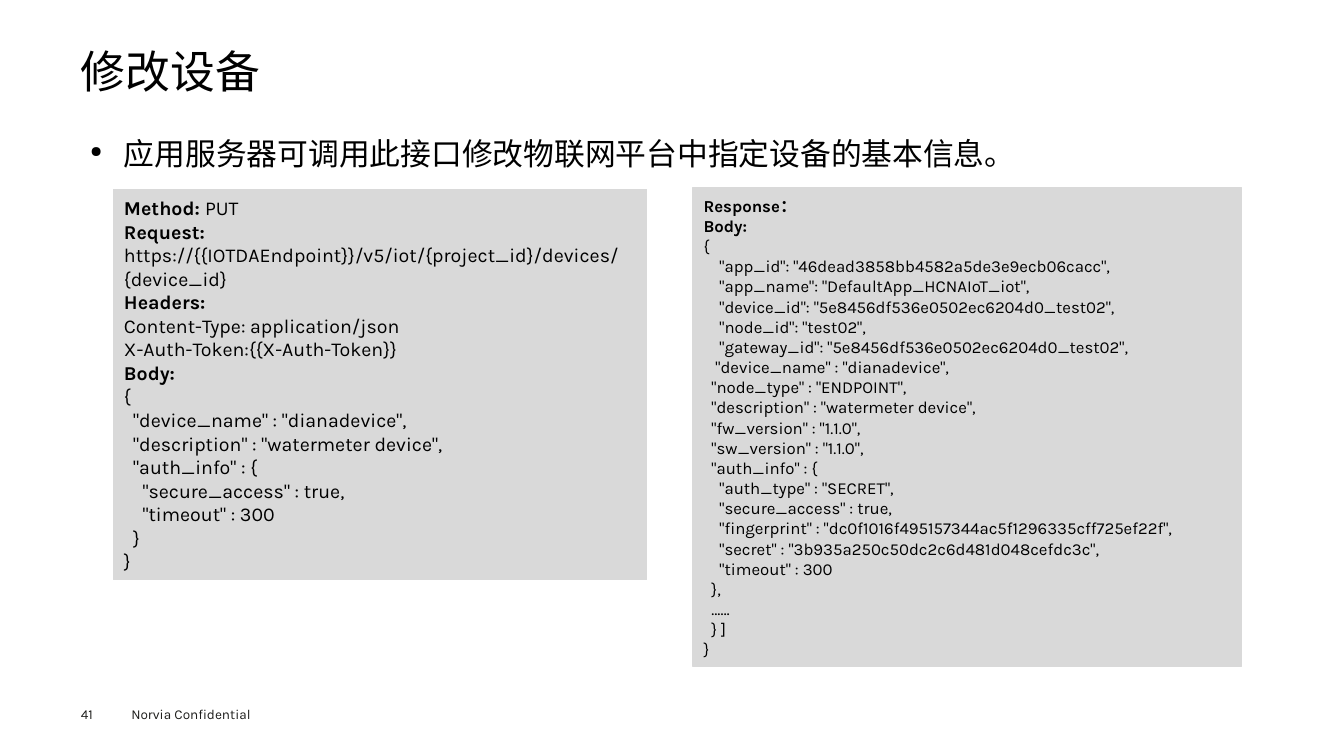
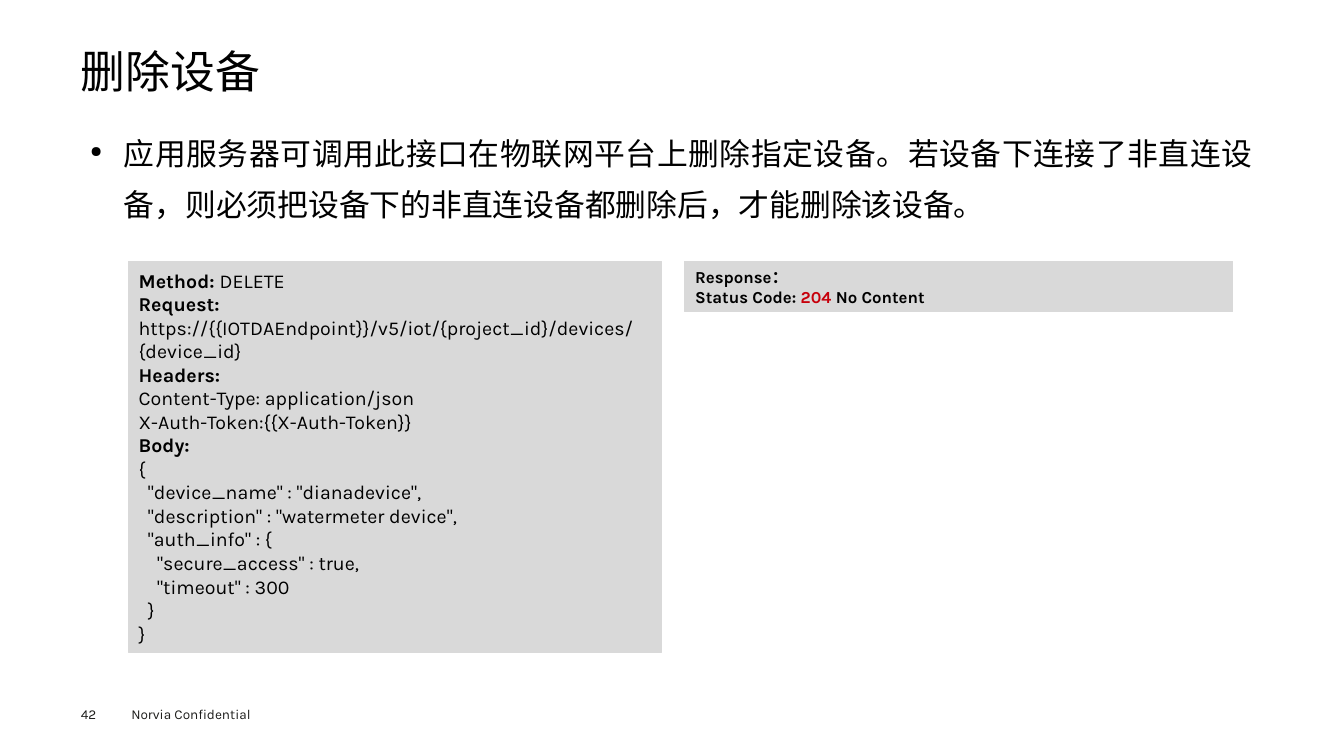
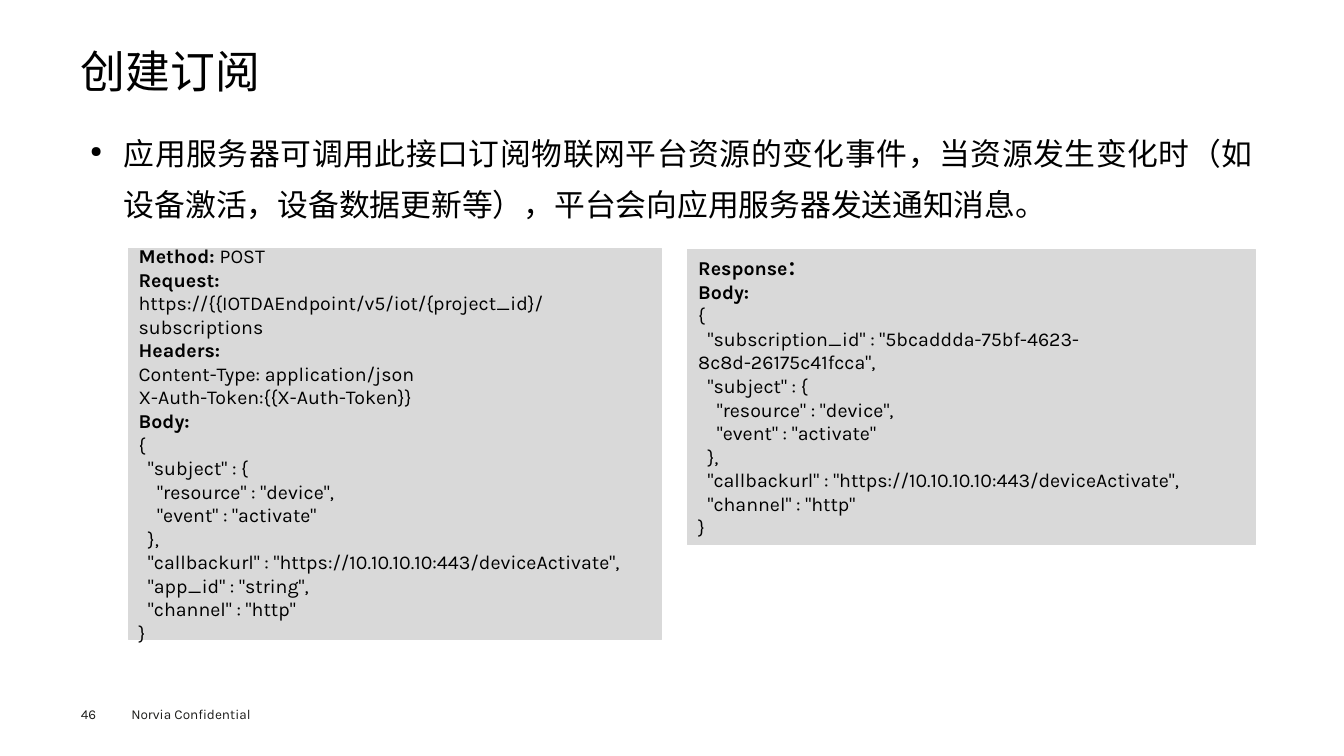
from lxml.etree import SubElement
from pptx import Presentation
from pptx.dml.color import RGBColor
from pptx.enum.shapes import MSO_SHAPE as SHAPE
from pptx.enum.text import MSO_ANCHOR as ANCHOR, MSO_AUTO_SIZE as AUTO, PP_ALIGN as ALIGN
from pptx.oxml.ns import qn
from pptx.util import Emu, Pt

BLACK = RGBColor(0x00, 0x00, 0x00)
INK = RGBColor(0x1D, 0x1D, 0x1B)
GREY = RGBColor(0xD9, 0xD9, 0xD9)
RED = RGBColor(0xC7, 0x00, 0x0B)
FONT = "Karla"
TITLE_BOX = (77, 47, 1126, 51)
BODY_BOX = (77, 110, 1126, 513)
NUMBER_BOX = (77, 672, 53, 15)
FOOTER_BOX = (115, 667, 154, 26)
BOLD = {"bold": True}

DEVICE_URL = "https://{{IOTDAEndpoint}}/v5/iot/{project_id}/devices/{device_id}"
SUBSCRIPTION_URL = "https://{{IOTDAEndpoint/v5/iot/{project_id}/subscriptions"

DEVICE_BODY = """{
  "device_name" : "dianadevice",
  "description" : "watermeter device",
  "auth_info" : {
    "secure_access" : true,
    "timeout" : 300
  }
}"""

DEVICE_REPLY = """{
    "app_id": "46dead3858bb4582a5de3e9ecb06cacc",
    "app_name": "DefaultApp_HCNAIoT_iot",
    "device_id": "5e8456df536e0502ec6204d0_test02",
    "node_id": "test02",
    "gateway_id": "5e8456df536e0502ec6204d0_test02",
   "device_name" : "dianadevice",
  "node_type" : "ENDPOINT",
  "description" : "watermeter device",
  "fw_version" : "1.1.0",
  "sw_version" : "1.1.0",
  "auth_info" : {
    "auth_type" : "SECRET",
    "secure_access" : true,
    "fingerprint" : "dc0f1016f495157344ac5f1296335cff725ef22f",
    "secret" : "3b935a250c50dc2c6d481d048cefdc3c",
    "timeout" : 300
  },
  ……
  } ]
}"""

SUBSCRIPTION_BODY = """{
  "subject" : {
    "resource" : "device",
    "event" : "activate"
  },
  "callbackurl" : "https://10.10.10.10:443/deviceActivate",
  "app_id" : "string",
  "channel" : "http"
}"""

SUBSCRIPTION_REPLY = """{
  "subscription_id" : "5bcaddda-75bf-4623-8c8d-26175c41fcca",
  "subject" : {
    "resource" : "device",
    "event" : "activate"
  },
  "callbackurl" : "https://10.10.10.10:443/deviceActivate",
  "channel" : "http"
}"""


def px(n):
    """Turn px into EMU."""
    return Emu(n * 9525)


def place(box):
    """Turn a px box into EMU lengths."""
    return [px(n) for n in box]


def add_run(p, text, size=14, color=BLACK, bold=False):
    """Add one formatted run to a paragraph."""
    r = p.add_run()
    r.text = text
    r.font.size = Pt(size)
    r.font.name = FONT
    r.font.bold = bold
    r.font.color.rgb = color
    SubElement(r.font._element, qn("a:ea"), typeface=FONT)


def write(tf, lines, size=14, color=BLACK, align=ALIGN.LEFT, spacing=None,
          anchor=ANCHOR.TOP, inset=(0, 0)):
    """Fill a text frame with lines, each a string or a list of (text, format) runs."""
    tf.word_wrap = True
    tf.auto_size = AUTO.NONE
    tf.vertical_anchor = anchor
    tf.margin_left = tf.margin_right = px(inset[0])
    tf.margin_top = tf.margin_bottom = px(inset[1])
    for i, line in enumerate(lines):
        p = tf.add_paragraph() if i else tf.paragraphs[0]
        p.alignment = align
        if spacing:
            p.line_spacing = spacing
        for text, fmt in [(line, {})] if isinstance(line, str) else line:
            add_run(p, text, **{"size": size, "color": color, **fmt})


def add_label(s, text, box, **fmt):
    """Add a text box and return its text frame."""
    tf = s.shapes.add_textbox(*place(box)).text_frame
    write(tf, [text], **fmt)
    return tf


def add_bullet(s, text, box):
    """Add the bulleted introduction."""
    tf = add_label(s, text, box, size=22, align=ALIGN.JUSTIFY, spacing=1.4, inset=(9, 4))
    pPr = tf.paragraphs[0]._p.get_or_add_pPr()
    pPr.set("marL", str(px(32)))
    pPr.set("indent", str(-px(32)))
    SubElement(pPr, qn("a:buSzPct"), val="50000")
    SubElement(pPr, qn("a:buChar"), char="●")


def add_panel(s, lines, box, size=14):
    """Add a grey panel of message lines."""
    sp = s.shapes.add_shape(SHAPE.RECTANGLE, *place(box))
    sp.shadow.inherit = False
    sp.fill.solid()
    sp.fill.fore_color.rgb = GREY
    sp.line.color.rgb = GREY
    sp.line.width = Pt(0.75)
    write(sp.text_frame, lines, size=size, anchor=ANCHOR.MIDDLE, inset=(10, 5))


def request(method, url, body):
    """Return the lines of a request."""
    return [[("Method: ", BOLD), (method, {})],
            [("Request:", BOLD)], url,
            [("Headers:", BOLD)], "Content-Type: application/json",
            "X-Auth-Token:{{X-Auth-Token}}",
            [("Body:", BOLD)], *body.splitlines()]


def response(body):
    """Return the lines of a response with a body."""
    return [[("Response：", BOLD)], [("Body:", BOLD)], *body.splitlines()]


def add_slide(prs, number, title, intro):
    """Add a slide with its title, introduction and footer."""
    s = prs.slides.add_slide(prs.slide_layouts[5])
    sp = s.shapes.title
    sp.left, sp.top, sp.width, sp.height = place(TITLE_BOX)
    write(sp.text_frame, [title], size=32, spacing=0.9)
    add_bullet(s, intro, BODY_BOX)
    add_label(s, str(number), NUMBER_BOX, size=9.7, color=INK)
    add_label(s, "Norvia Confidential", FOOTER_BOX, size=9.7, color=INK, inset=(10, 5))
    return s


def main():
    """Build the three slides."""
    prs = Presentation()
    prs.slide_width, prs.slide_height = px(1280), px(720)

    s = add_slide(prs, 41, "修改设备", "应用服务器可调用此接口修改物联网平台中指定设备的基本信息。")
    add_panel(s, request("PUT", DEVICE_URL, DEVICE_BODY), (108, 180, 508, 372))
    add_panel(s, response(DEVICE_REPLY), (660, 179, 522, 456), size=12)

    s = add_slide(prs, 42, "删除设备",
                  "应用服务器可调用此接口在物联网平台上删除指定设备。若设备下连接了非直连设备，"
                  "则必须把设备下的非直连设备都删除后，才能删除该设备。")
    add_panel(s, request("DELETE", DEVICE_URL, DEVICE_BODY), (122, 249, 508, 372))
    status = [("Status Code: ", BOLD), ("204 ", {"bold": True, "color": RED}),
              ("No Content", BOLD)]
    add_panel(s, [[("Response：", BOLD)], status], (652, 249, 522, 48), size=12)

    s = add_slide(prs, 46, "创建订阅",
                  "应用服务器可调用此接口订阅物联网平台资源的变化事件，当资源发生变化时"
                  "（如设备激活，设备数据更新等），平台会向应用服务器发送通知消息。")
    add_panel(s, request("POST", SUBSCRIPTION_URL, SUBSCRIPTION_BODY), (122, 237, 508, 372))
    add_panel(s, response(SUBSCRIPTION_REPLY), (655, 238, 541, 281))

    prs.save("out.pptx")


if __name__ == "__main__":
    main()
